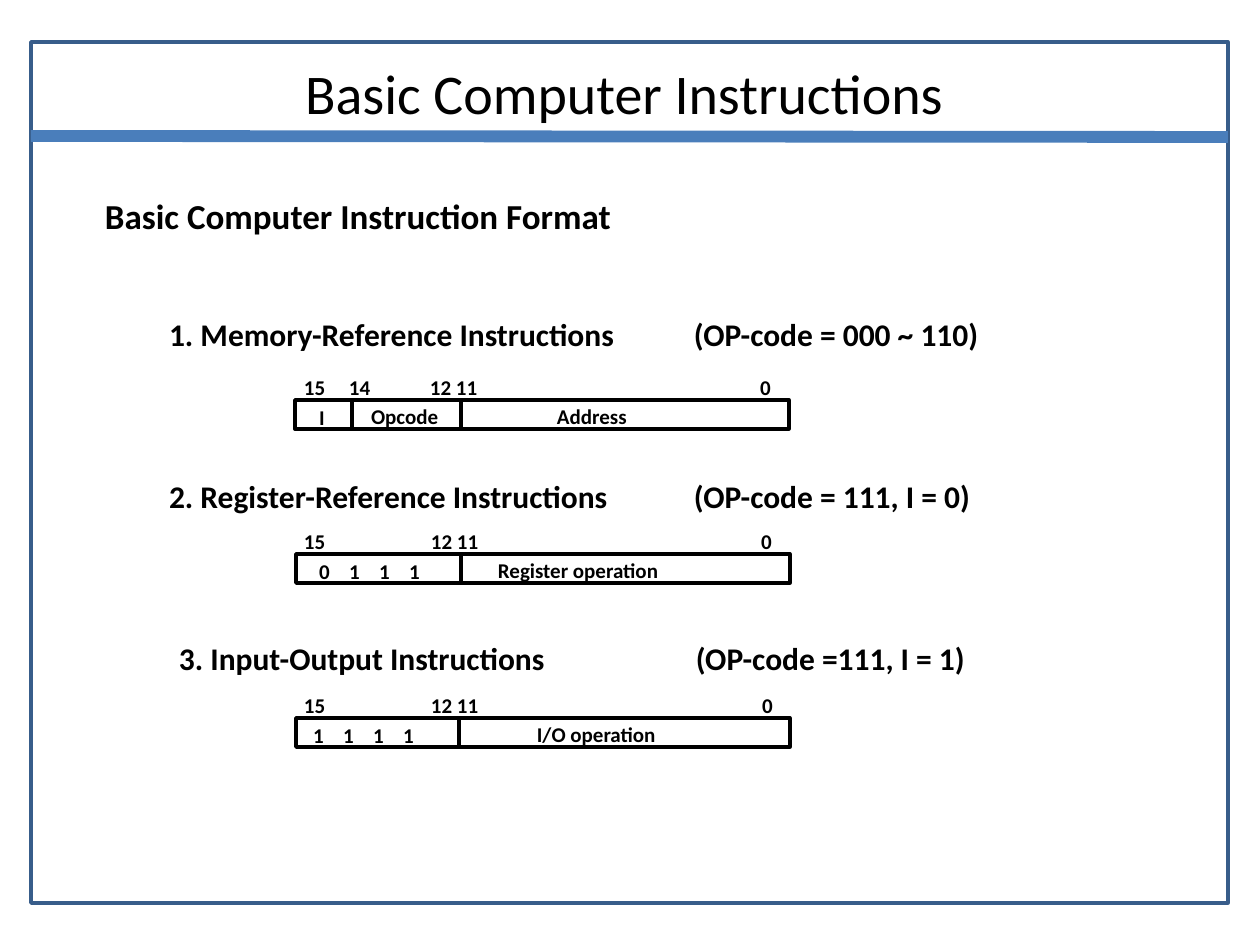
from lxml.etree import SubElement
from pptx import Presentation
from pptx.dml.color import RGBColor
from pptx.enum.shapes import MSO_CONNECTOR, MSO_SHAPE
from pptx.enum.text import PP_ALIGN
from pptx.oxml.ns import qn
from pptx.util import Pt

SCALE = 914400 / 126
BLACK = "000000"
ROW_WIDTH, ROW_HEIGHT = 494, 29
BIT_STOPS = (30, 60, 90)

TITLE = {"size": Pt(32), "bold": False}
SECTION = {"size": Pt(20), "bold": True}
HEADING = {"size": Pt(18), "bold": True}
LABEL = {"size": Pt(12), "bold": True}

FORMATS = [
    {
        "heading": ("1. Memory-Reference Instructions\t(OP-code = 000 ~ 110)", 156, 309, 525),
        "row": (295, 400),
        "dividers": (352, 461),
        "bit_numbers": [("15\t14", 291, (45,)), ("12 11", 417, ()), ("0", 747, ())],
        "bits": ("I", 306),
        "fields": [("Opcode", 358), ("Address", 544)],
    },
    {
        "heading": ("2. Register-Reference Instructions\t(OP-code = 111, I = 0)", 156, 471, 525),
        "row": (296, 554),
        "dividers": (461,),
        "bit_numbers": [("15", 291, ()), ("12 11", 418, ()), ("0", 748, ())],
        "bits": ("0\t1\t1\t1", 306),
        "fields": [("Register operation", 485)],
    },
    {
        "heading": ("3. Input-Output Instructions\t(OP-code =111, I = 1)", 166, 633, 517),
        "row": (296, 718),
        "dividers": (459,),
        "bit_numbers": [("15", 291, ()), ("12 11", 418, ()), ("0", 749, ())],
        "bits": ("1\t1\t1\t1", 300),
        "fields": [("I/O operation", 524)],
    },
]


def px(length):
    return round(length * SCALE)


def color(value):
    return RGBColor.from_string(value)


def add_frame(slide, left, top, width, height, line_color):
    shape = slide.shapes.add_shape(
        MSO_SHAPE.RECTANGLE, px(left), px(top), px(width), px(height)
    )
    shape.shadow.inherit = False
    shape.fill.background()
    shape.line.color.rgb = color(line_color)
    shape.line.width = Pt(2)


def add_line(slide, start, end, line_color, width):
    connector = slide.shapes.add_connector(
        MSO_CONNECTOR.STRAIGHT, *(px(value) for value in (*start, *end))
    )
    connector.line.color.rgb = color(line_color)
    connector.line.width = Pt(width)
    SubElement(connector.element.spPr, qn("a:effectLst"))


def add_tab_stops(paragraph, stops):
    tab_list = SubElement(paragraph._p.get_or_add_pPr(), qn("a:tabLst"))
    for stop in stops:
        SubElement(tab_list, qn("a:tab"), pos=str(px(stop)), algn="l")


def add_text(slide, text, box, font_format, stops=(), align=PP_ALIGN.LEFT, insets=(13, 6)):
    text_frame = slide.shapes.add_textbox(*(px(value) for value in box)).text_frame
    horizontal, vertical = insets
    frame_format = {
        "word_wrap": True,
        "margin_left": px(horizontal),
        "margin_right": px(horizontal),
        "margin_top": px(vertical),
        "margin_bottom": px(vertical),
    }
    for name, value in frame_format.items():
        setattr(text_frame, name, value)
    paragraph = text_frame.paragraphs[0]
    if stops:
        add_tab_stops(paragraph, stops)
    paragraph.alignment = align
    run = paragraph.add_run()
    run.text = text
    for name, value in {"name": "Calibri", **font_format}.items():
        setattr(run.font, name, value)
    run.font.color.rgb = color(BLACK)
    return paragraph


def add_label(slide, text, left, top, stops=()):
    width = 45 + 10 * len(text) + max(stops, default=0)
    add_text(slide, text, (left, top, width, 38), LABEL, stops)


def add_instruction_format(slide, instruction):
    heading, heading_left, heading_top, stop = instruction["heading"]
    add_text(slide, heading, (heading_left, heading_top, 860, 50), HEADING, (stop,))

    left, top = instruction["row"]
    add_frame(slide, left, top, ROW_WIDTH, ROW_HEIGHT, BLACK)
    for divider in instruction["dividers"]:
        add_line(slide, (divider, top), (divider, top + ROW_HEIGHT), BLACK, 2)

    for number, number_left, stops in instruction["bit_numbers"]:
        add_label(slide, number, number_left, top - 31, stops)
    bits, bits_left = instruction["bits"]
    add_label(slide, bits, bits_left, top - 1, BIT_STOPS)
    for field, field_left in instruction["fields"]:
        add_label(slide, field, field_left, top - 2)


def main():
    presentation = Presentation()
    presentation.slide_width = px(1260)
    presentation.slide_height = px(945)
    slide = presentation.slides.add_slide(presentation.slide_layouts[6])

    add_frame(slide, 31, 42, 1197, 861, "385D8A")
    add_line(slide, (31, 136), (1228, 137), "4A7EBB", 6.75)
    add_text(
        slide, "Basic Computer Instructions", (94, 53, 1061, 81), TITLE, align=PP_ALIGN.CENTER
    )
    section = add_text(
        slide, "Basic Computer Instruction Format", (96, 190, 560, 50), SECTION, insets=(9, 4)
    )
    section.line_spacing = 1.02
    for instruction in FORMATS:
        add_instruction_format(slide, instruction)

    presentation.save("out.pptx")


if __name__ == "__main__":
    main()
